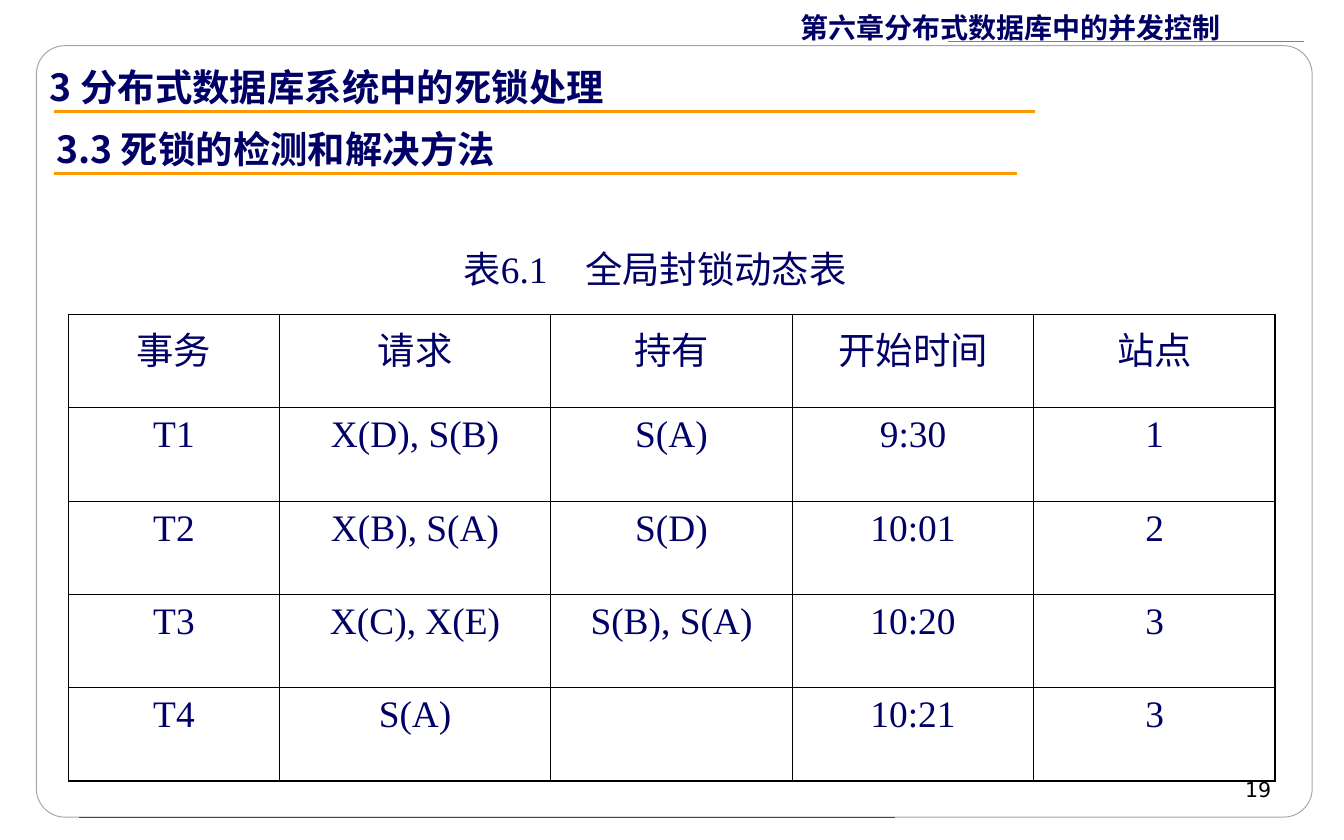
from pptx import Presentation
from pptx.dml.color import RGBColor
from pptx.enum.shapes import MSO_CONNECTOR as CONN, MSO_SHAPE as SHAPE
from pptx.enum.text import MSO_ANCHOR as ANCHOR, PP_ALIGN as ALIGN
from pptx.oxml.ns import qn
from pptx.util import Pt
from lxml.etree import SubElement

COLORS = {"ink": "000066", "black": "000000", "white": "FFFFFF", "frame": "A5A5A5",
          "gray": "7F7F7F", "blue": "3333CC", "orange": "FF9900"}
SANS, SERIF, NUMBER = "Noto Sans CJK SC", "Times New Roman", "DejaVu Sans"

LOCKS = [
    ["事务", "请求", "持有", "开始时间", "站点"],
    ["T1", "X(D), S(B)", "S(A)", "9:30", "1"],
    ["T2", "X(B), S(A)", "S(D)", "10:01", "2"],
    ["T3", "X(C), X(E)", "S(B), S(A)", "10:20", "3"],
    ["T4", "S(A)", "", "10:21", "3"],
]
COL_WIDTHS = [113, 145.4, 129.4, 129.4, 129.4]
ROW_HEIGHT = 50


def rgb(name):
    return RGBColor.from_string(COLORS[name])


class SlideBuilder:
    """Holds the current slide and its text style."""

    def __init__(self, slide, color="ink", size=20):
        self.s, self.color, self.size = slide, color, size

    def style(self, p, text, font, size=None, color=None, bold=False, align=ALIGN.LEFT):
        p.text = text
        p.alignment = align
        f = p.font
        f.name, f.size, f.bold = font, Pt(size or self.size), bold
        f.color.rgb = rgb(color or self.color)

    def frame(self, x, y, w, h, radius):
        sp = self.s.shapes.add_shape(SHAPE.ROUNDED_RECTANGLE, Pt(x), Pt(y), Pt(w), Pt(h))
        sp.adjustments[0] = radius
        sp.shadow.inherit = False
        sp.fill.solid()
        sp.fill.fore_color.rgb = rgb("white")
        sp.line.color.rgb = rgb("frame")
        sp.line.width = Pt(0.5)

    def rule(self, x1, x2, y, color, width):
        """Draw a horizontal line."""
        c = self.s.shapes.add_connector(CONN.STRAIGHT, Pt(x1), Pt(y), Pt(x2), Pt(y))
        c.line.color.rgb = rgb(color)
        c.line.width = Pt(width)
        SubElement(c._element.spPr, qn("a:effectLst"))

    def fill_box(self, sp, inset, anchor, text, font, **look):
        tf = sp.text_frame
        tf.word_wrap = True
        tf.vertical_anchor = anchor
        tf.margin_left = tf.margin_right = Pt(inset)
        tf.margin_top = tf.margin_bottom = Pt(3.6)
        self.style(tf.paragraphs[0], text, font, **look)

    def text(self, x, y, w, h, text, font, inset=7.2, anchor=ANCHOR.TOP, **look):
        sp = self.s.shapes.add_textbox(Pt(x), Pt(y), Pt(w), Pt(h))
        self.fill_box(sp, inset, anchor, text, font, **look)

    def title(self, x, y, w, h, text):
        sp = self.s.shapes.title
        self.s.shapes.element.append(sp.element)  # bring in front of the frame
        sp.left, sp.top, sp.width, sp.height = Pt(x), Pt(y), Pt(w), Pt(h)
        self.fill_box(sp, 7.2, ANCHOR.TOP, text, SANS, bold=True)

    def border(self, cell, edges):
        """Set the cell borders; edges maps a side (L, R, T, B) to a width."""
        tcPr = cell._tc.get_or_add_tcPr()
        for side, width in edges.items():
            ln = SubElement(tcPr, qn(f"a:ln{side}"), w=str(Pt(width)))
            fill = SubElement(ln, qn("a:solidFill"))
            SubElement(fill, qn("a:srgbClr"), val=COLORS["black"])

    def table(self, x, y, rows, widths, row_height, inner=0.45, outer=1.08):
        last_row, last_col = len(rows) - 1, len(widths) - 1
        t = self.s.shapes.add_table(len(rows), len(widths), Pt(x), Pt(y), Pt(sum(widths)),
                                    Pt(row_height * len(rows))).table
        t.first_row = t.horz_banding = False
        for col, width in zip(t.columns, widths):
            col.width = Pt(width)
        for i, row in enumerate(rows):
            t.rows[i].height = Pt(row_height)
            for j, value in enumerate(row):
                cell = t.cell(i, j)
                on_edge = {"L": j == 0, "R": j == last_col, "T": i == 0, "B": i == last_row}
                self.border(cell, {k: outer if v else inner for k, v in on_edge.items()})
                cell.fill.background()
                self.style(cell.text_frame.paragraphs[0], value, SERIF, align=ALIGN.CENTER)


def main():
    prs = Presentation()
    prs.slide_width, prs.slide_height = Pt(720), Pt(450)
    b = SlideBuilder(prs.slides.add_slide(prs.slide_layouts[5]))

    b.frame(19.5, 24.5, 683.5, 413.3, 0.037)
    b.rule(42.5, 479.5, 437.8, "blue", 0.25)
    b.text(422.6, 2.2, 272, 24.5, "第六章分布式数据库中的并发控制", SANS,
           inset=6.5, size=15, bold=True)
    b.rule(698.4, 507.6, 22.3, "gray", 0.75)
    b.text(507.6, 412.6, 180, 16.6, "19", NUMBER, inset=6.5, size=11,
           color="black", align=ALIGN.RIGHT)

    b.text(23, 64, 575.3, 31.7, "3.3 死锁的检测和解决方法", SANS, bold=True)
    b.rule(28.8, 545, 92.9, "orange", 1.5)
    b.title(19.5, 31, 575.3, 31.7, "3 分布式数据库系统中的死锁处理")
    b.rule(28.8, 554.4, 59.8, "orange", 1.5)

    b.table(36.7, 168.5, LOCKS, COL_WIDTHS, ROW_HEIGHT)
    b.text(241.2, 128.2, 334.8, 31.7, "表6.1　全局封锁动态表", SERIF, anchor=ANCHOR.MIDDLE)
    prs.save("out.pptx")


if __name__ == "__main__":
    main()
